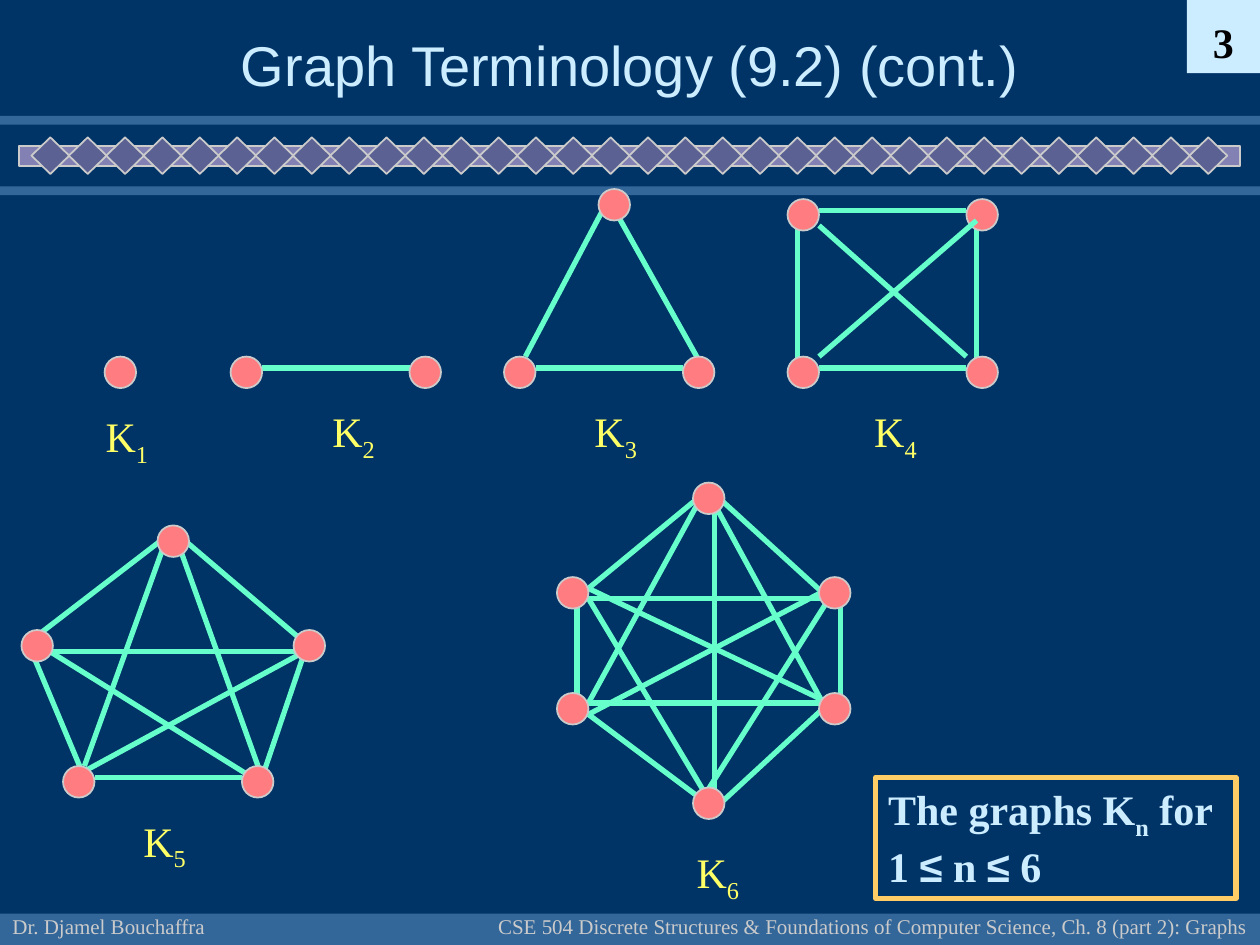
"""Build the slide showing the complete graphs K1 to K6."""
from lxml import etree
from pptx import Presentation
from pptx.dml.color import RGBColor
from pptx.enum import shapes, text
from pptx.oxml import ns
from pptx.util import Inches, Pt

NAVY = RGBColor(0x00, 0x33, 0x66)
BLUE = RGBColor(0x33, 0x66, 0x99)
LILAC = RGBColor(0x83, 0x81, 0xB3)
PURPLE = RGBColor(0x5B, 0x61, 0x92)
SILVER = RGBColor(0xCB, 0xCB, 0xCB)
ICE = RGBColor(0xCC, 0xEC, 0xFF)
BLACK = RGBColor(0x00, 0x00, 0x00)
CORAL = RGBColor(0xFF, 0x7C, 0x80)
YELLOW = RGBColor(0xFF, 0xFF, 0x66)
MINT = RGBColor(0x66, 0xFF, 0xCC)
GOLD = RGBColor(0xFF, 0xCC, 0x66)
SERIF = "Times New Roman"
SANS = "Arial"
KIND = shapes.MSO_SHAPE
ANCHOR = text.MSO_ANCHOR
ALIGN = text.PP_ALIGN

prs = Presentation()
prs.slide_width, prs.slide_height = Inches(10), Inches(7.5)
slide = prs.slides.add_slide(prs.slide_layouts[6])
slide.background.fill.solid()
slide.background.fill.fore_color.rgb = NAVY


def add_figure(kind, place, fill=None, line=None, weight=1):
    figure = slide.shapes.add_shape(kind, *map(Inches, place))
    figure.shadow.inherit = False
    if fill is None:
        figure.fill.background()
    else:
        figure.fill.solid()
        figure.fill.fore_color.rgb = fill
    if line is None:
        figure.line.fill.background()
    else:
        figure.line.color.rgb = line
        figure.line.width = Pt(weight)
    return figure


def write(holder, pieces, size, color, bold=False, align=ALIGN.LEFT, anchor=ANCHOR.TOP, wrap=False):
    frame = holder.text_frame
    frame.word_wrap = wrap
    frame.vertical_anchor = anchor
    paragraph = frame.paragraphs[0]
    paragraph.alignment = align
    for words, face, baseline in pieces:
        if words == "\n":
            paragraph.add_line_break()
            continue
        run = paragraph.add_run()
        run.text = words
        run.font.name = face
        run.font.size = Pt(size)
        run.font.bold = bold
        run.font.color.rgb = color
        if baseline:
            run.font._element.set("baseline", str(baseline * 1000))


for top, height in [(7.25, 0.25), (0.92, 0.07), (1.48, 0.07)]:
    add_figure(KIND.RECTANGLE, (0, top, 10, height), BLUE)
add_figure(KIND.RECTANGLE, (0.15, 1.16, 9.69, 0.16), LILAC, SILVER)
DIAMONDS = 32
for i in range(DIAMONDS):
    left = 0.25 + i * 9.19 / (DIAMONDS - 1)
    add_figure(KIND.DIAMOND, (left, 1.09, 0.3, 0.29), PURPLE, SILVER)

course = "CSE 504 Discrete Structures & Foundations of Computer Science, Ch. 8 (part 2): Graphs"
for words, left, width, align in [
    ("Dr. Djamel Bouchaffra", 0, 2.08, ALIGN.LEFT),
    (course, 3.83, 6.17, ALIGN.RIGHT),
]:
    footer = slide.shapes.add_textbox(Inches(left), Inches(7), Inches(width), Inches(0.5))
    write(footer, [(words, SERIF, 0)], 12, SILVER, align=align, anchor=ANCHOR.BOTTOM)

page_number = add_figure(KIND.RECTANGLE, (9.42, 0, 0.58, 0.58), ICE)
write(page_number, [("3", SERIF, 0)], 24, BLACK, True, ALIGN.CENTER, ANCHOR.BOTTOM)

title = slide.shapes.add_textbox(Inches(0.75), Inches(0.17), Inches(8.5), Inches(0.67))
write(title, [("Graph Terminology (9.2) (cont.)", SANS, 0)], 32, ICE,
      align=ALIGN.CENTER, anchor=ANCHOR.MIDDLE, wrap=True)

# noqa
graphs = [
    ("1", (0.74, 3.21), [(0.83, 2.83)], [], []),
    ("2", (2.54, 3.17), [(1.83, 2.83), (3.25, 2.83)], [(2.08, 2.92, 3.25, 2.92)], []),
    ("3", (4.62, 3.17), [(4, 2.83), (5.42, 2.83), (4.75, 1.5)],
     [(4.83, 1.58, 4.17, 2.83), (4.83, 1.58, 5.58, 2.92), (4.25, 2.92, 5.42, 2.92)], []),
    ("4", (6.84, 3.17), [(6.25, 2.83), (7.67, 2.83), (6.25, 1.58), (7.67, 1.58)],
     [(6.33, 2.92, 6.33, 1.67), (7.75, 2.92, 7.75, 1.67),
      (6.5, 2.92, 7.67, 2.92), (6.5, 1.67, 7.67, 1.67)],
     [(6.5, 1.79, 7.67, 2.83), (6.5, 2.83, 7.75, 1.75)]),
    ("6", (5.43, 6.67),
     [(4.42, 4.58), (6.5, 4.58), (4.42, 5.5), (6.5, 5.5), (5.5, 6.25), (5.5, 3.83)],
     [(5.58, 3.92, 4.67, 5.58), (5.67, 6.42, 6.58, 5.58), (6.67, 5.58, 6.67, 4.67),
      (4.67, 4.75, 5.67, 6.42), (5.58, 6.33, 6.58, 4.75), (5.67, 4, 6.58, 5.67),
      (5.67, 4, 5.67, 6.33), (5.58, 3.92, 4.67, 4.67), (4.58, 4.75, 4.58, 5.58),
      (4.67, 5.67, 5.67, 6.42), (6.58, 4.75, 5.67, 3.92), (4.67, 4.75, 6.58, 4.75),
      (4.67, 4.67, 6.58, 5.58), (4.67, 5.67, 6.58, 4.67), (4.67, 5.58, 6.58, 5.58)], []),
    ("5", (1.04, 6.42),
     [(0.5, 6.08), (1.92, 6.08), (1.25, 4.17), (0.17, 5), (2.33, 5)],
     [(1.33, 4.25, 0.25, 5.08), (0.25, 5.17, 0.67, 6.17), (2.08, 6.17, 2.42, 5.17),
      (1.42, 4.25, 2.5, 5.17), (0.33, 5.17, 2.42, 5.17), (0.58, 6.17, 2.42, 5.17),
      (2, 6.17, 0.25, 5.08), (1.33, 4.25, 0.67, 6.08), (1.42, 4.33, 2.08, 6.17),
      (0.75, 6.17, 1.92, 6.17)], []),
]
for order, label_corner, vertices, edges, front_edges in graphs:
    for layer, corners in [(edges, vertices), (front_edges, [])]:
        for ends in layer:
            edge = slide.shapes.add_connector(shapes.MSO_CONNECTOR.STRAIGHT, *map(Inches, ends))
            edge.line.color.rgb = MINT
            edge.line.width = Pt(3)
            etree.SubElement(edge._element.spPr, ns.qn("a:effectLst"))
        for left, top in corners:
            add_figure(KIND.OVAL, (left, top, 0.25, 0.25), CORAL, SILVER)
    label = slide.shapes.add_textbox(*map(Inches, (*label_corner, 0.54, 0.56)))
    write(label, [("K", SERIF, 0), (order, SERIF, -25)], 24, YELLOW)

caption = add_figure(KIND.RECTANGLE, (6.95, 6.17, 2.86, 0.96), line=GOLD, weight=3)
write(caption, [("The graphs K", SERIF, 0), ("n", SERIF, -25), (" for ", SERIF, 0), ("\n", SERIF, 0),
                ("1 ", SERIF, 0), ("≤", SANS, 0), (" n ", SERIF, 0), ("≤", SANS, 0), (" 6", SERIF, 0)],
      24, ICE, True)

prs.save("out.pptx")
